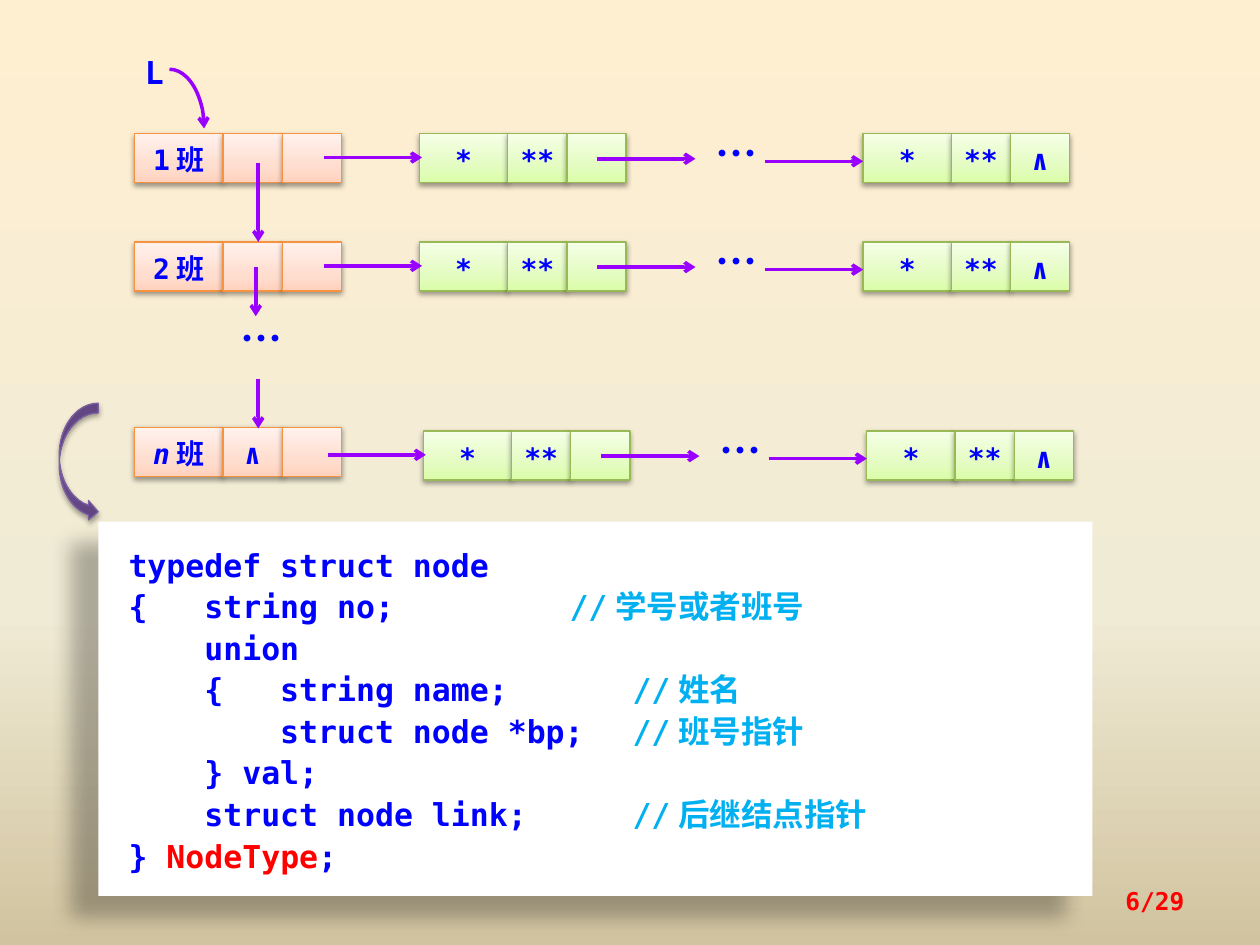
from dataclasses import dataclass

from lxml import etree
from pptx import Presentation
from pptx.dml.color import RGBColor
from pptx.enum import shapes, text
from pptx.oxml import ns
from pptx.util import Inches, Pt

BLUE = RGBColor(0x00, 0x00, 0xFF)
SKY = RGBColor(0x00, 0xB0, 0xF0)
RED = RGBColor(0xFF, 0x00, 0x00)
WHITE = RGBColor(0xFF, 0xFF, 0xFF)
VIOLET = RGBColor(0x99, 0x00, 0xFF)
ORANGE_EDGE = RGBColor(0xF6, 0x92, 0x40)
GREEN_EDGE = RGBColor(0x98, 0xB9, 0x55)
PURPLE_EDGE = RGBColor(0x7D, 0x60, 0xA0)
BACKDROP = ((0, RGBColor(0xFF, 0xEF, 0xD1)), (65, RGBColor(0xF0, 0xEB, 0xD5)),
            (100, RGBColor(0xD1, 0xC3, 0x9F)))
PEACH = ((0, RGBColor(0xFF, 0xD2, 0xBD)), (35, RGBColor(0xFF, 0xDE, 0xD0)),
         (100, RGBColor(0xFF, 0xF2, 0xED)))
LIME = ((0, RGBColor(0xDA, 0xFD, 0xA7)), (35, RGBColor(0xE4, 0xFC, 0xC2)),
        (100, RGBColor(0xF5, 0xFF, 0xE7)))
PURPLE = ((0, RGBColor(0x5F, 0x44, 0x80)), (80, RGBColor(0x7B, 0x58, 0xA6)),
          (100, RGBColor(0x7C, 0x57, 0xA8)))
MONO = "DejaVu Sans Mono"
CJK = "Noto Sans CJK SC"
CELL_WIDTHS = (0.7, 0.47, 0.47)
CELL_HEIGHT = 0.39


@dataclass(frozen=True)
class Span:
    words: str
    color: RGBColor = BLUE
    italic: bool = False


@dataclass(frozen=True)
class ClassRow:
    header: tuple[tuple[Span, ...], ...]
    top: float
    student_top: float
    shift: float = 0


@dataclass(frozen=True)
class Shadow:
    alpha: int
    blur: float
    distance: float
    angle: int


CELL_SHADOW = Shadow(38, 3.1, 1.6, 90)
TURN_SHADOW = Shadow(35, 3.1, 1.8, 90)
CODE_SHADOW = Shadow(28, 11.8, 19.7, 141)

ROWS = (
    ClassRow(((Span("1班"),), (), ()), 1.06, 1.06),
    ClassRow(((Span("2班"),), (), ()), 1.92, 1.92),
    ClassRow(((Span("n", italic=True), Span("班")), (Span("∧"),), ()), 3.39, 3.42, 0.03),
)
STUDENT = ((Span("*"),), (Span("**"),), ())
LAST_STUDENT = (*STUDENT[:2], (Span("∧"),))
DOWN_ARROWS = ((2.05, 1.29, 1.92), (2.03, 2.12, 2.51), (2.05, 3.01, 3.4))
CODE = (
    (Span("typedef struct node"),),
    (Span("{   string no;\t\t\t"), Span("//学号或者班号", SKY)),
    (Span("    union"),),
    (Span("    {   string name;\t\t"), Span("//姓名", SKY)),
    (Span("        struct node *bp;\t"), Span("//班号指针", SKY)),
    (Span("    } val;"),),
    (Span("    struct node link;\t\t"), Span("//后继结点指针", SKY)),
    (Span("} "), Span("NodeType", RED), Span(";")),
)


def add_node(parent, tag: str, **attributes):
    return etree.SubElement(parent, ns.qn(tag), {k: str(v) for k, v in attributes.items()})


def set_gradient(fill, owner, stops, angle: int) -> None:
    fill.gradient()
    gradient = owner.find(".//" + ns.qn("a:gradFill"))
    for child in list(gradient):
        gradient.remove(child)
    stop_list = add_node(gradient, "a:gsLst")
    for position, color in stops:
        stop = add_node(stop_list, "a:gs", pos=position * 1000)
        add_node(stop, "a:srgbClr", val=color)
    add_node(gradient, "a:lin", ang=angle * 60000, scaled=0)


def set_shadow(shape, shadow: Shadow) -> None:
    shape.shadow.inherit = False
    effects = shape._element.spPr.find(ns.qn("a:effectLst"))
    outer = add_node(effects, "a:outerShdw", blurRad=Pt(shadow.blur), dist=Pt(shadow.distance),
                     dir=shadow.angle * 60000, algn="ctr", rotWithShape=0)
    color = add_node(outer, "a:srgbClr", val="000000")
    add_node(color, "a:alpha", val=shadow.alpha * 1000)


def write(shape, lines, *, size: float, font: str = MONO, align=text.PP_ALIGN.LEFT,
          anchor=text.MSO_ANCHOR.TOP, spacing: float = 1.1, before: int = 50,
          margins=(0.1, 0.05, 0.1, 0.05)) -> None:
    frame = shape.text_frame
    frame.word_wrap = True
    frame.vertical_anchor = anchor
    (frame.margin_left, frame.margin_top,
     frame.margin_right, frame.margin_bottom) = map(Inches, margins)
    for index, spans in enumerate(lines):
        paragraph = frame.add_paragraph() if index else frame.paragraphs[0]
        paragraph.alignment = align
        paragraph.line_spacing = spacing
        if before:
            paragraph.space_before = Pt(0)
            gap = paragraph._p.pPr.find(ns.qn("a:spcBef"))
            gap.remove(gap[0])
            add_node(gap, "a:spcPct", val=before * 1000)
        for span in spans:
            run = paragraph.add_run()
            run.text = span.words
            run.font.size = Pt(size)
            run.font.name = font
            run.font.bold = True
            run.font.italic = span.italic
            run.font.color.rgb = span.color
            add_node(run._r.rPr, "a:ea", typeface=font)


def add_label(slide, box, words: str, *, color: RGBColor = BLUE, **style) -> None:
    write(slide.shapes.add_textbox(*map(Inches, box)), [[Span(words, color)]], **style)


def style_arrow(line) -> None:
    line.color.rgb = VIOLET
    line.width = Pt(2)
    add_node(line._get_or_add_ln(), "a:tailEnd", type="arrow")


def add_arrow(slide, x1: float, y1: float, x2: float, y2: float) -> None:
    arrow = slide.shapes.add_connector(shapes.MSO_CONNECTOR.STRAIGHT,
                                       *map(Inches, (x1, y1, x2, y2)))
    style_arrow(arrow.line)
    add_node(arrow._element.spPr, "a:effectLst")


def add_block(slide, kind, box, stops, edge: RGBColor, shadow: Shadow):
    block = slide.shapes.add_shape(kind, *map(Inches, box))
    set_gradient(block.fill, block._element.spPr, stops, 270)
    block.line.color.rgb = edge
    block.line.width = Pt(0.75)
    set_shadow(block, shadow)
    return block


def add_record(slide, left: float, top: float, contents, stops, edge: RGBColor) -> None:
    for width, spans in zip(CELL_WIDTHS, contents):
        cell = add_block(slide, shapes.MSO_SHAPE.RECTANGLE, (left, top, width, CELL_HEIGHT),
                         stops, edge, CELL_SHADOW)
        if spans:
            write(cell, [spans], size=16, align=text.PP_ALIGN.CENTER,
                  anchor=text.MSO_ANCHOR.MIDDLE, margins=(0, 0.05, 0, 0.05))
        left += width


def add_class_row(slide, row: ClassRow) -> None:
    shift, top = row.shift, row.student_top
    add_record(slide, 1.07, row.top, row.header, PEACH, ORANGE_EDGE)
    add_record(slide, 3.33 + shift, top, STUDENT, LIME, GREEN_EDGE)
    add_record(slide, 6.85 + shift, top, LAST_STUDENT, LIME, GREEN_EDGE)
    add_label(slide, (5.58 + shift, top - 0.14, 0.55, 0.55), "…", size=24, font=CJK)
    for start, drop in ((2.57, 0.19), (4.74, 0.2), (6.07, 0.22)):
        add_arrow(slide, start + shift, top + drop, start + shift + 0.78, top + drop)


deck = Presentation()
deck.slide_width, deck.slide_height = Inches(10), Inches(7.5)
slide = deck.slides.add_slide(deck.slide_layouts[6])
set_gradient(slide.background.fill, slide._element, BACKDROP, 90)

for class_row in ROWS:
    add_class_row(slide, class_row)
for x, start_y, end_y in DOWN_ARROWS:
    add_arrow(slide, x, start_y, x, end_y)
add_label(slide, (1.81, 2.39, 0.63, 0.55), "…", size=24, font=CJK)

add_label(slide, (0.99, 0.34, 0.47, 0.42), "L", size=18, align=text.PP_ALIGN.CENTER)
head_pointer = slide.shapes.add_shape(shapes.MSO_SHAPE.ARC,
                                      *map(Inches, (1.07, 0.55, 0.55, 0.94)))
head_pointer.fill.background()
style_arrow(head_pointer.line)
head_pointer.shadow.inherit = False

node_type = slide.shapes.add_shape(shapes.MSO_SHAPE.RECTANGLE,
                                   *map(Inches, (0.78, 4.14, 7.89, 2.97)))
node_type.fill.solid()
node_type.fill.fore_color.rgb = WHITE
node_type.line.fill.background()
set_shadow(node_type, CODE_SHADOW)
write(node_type, CODE, size=18, before=0, margins=(0.24, 0.16, 0.1, 0.16))

add_block(slide, shapes.MSO_SHAPE.CURVED_RIGHT_ARROW, (0.47, 3.2, 0.31, 0.94),
          PURPLE, PURPLE_EDGE, TURN_SHADOW)
add_label(slide, (7.17, 6.95, 2.33, 0.4), "6/29", color=RED, size=14, spacing=1.0, before=0,
          align=text.PP_ALIGN.RIGHT, anchor=text.MSO_ANCHOR.MIDDLE)

deck.save("out.pptx")
